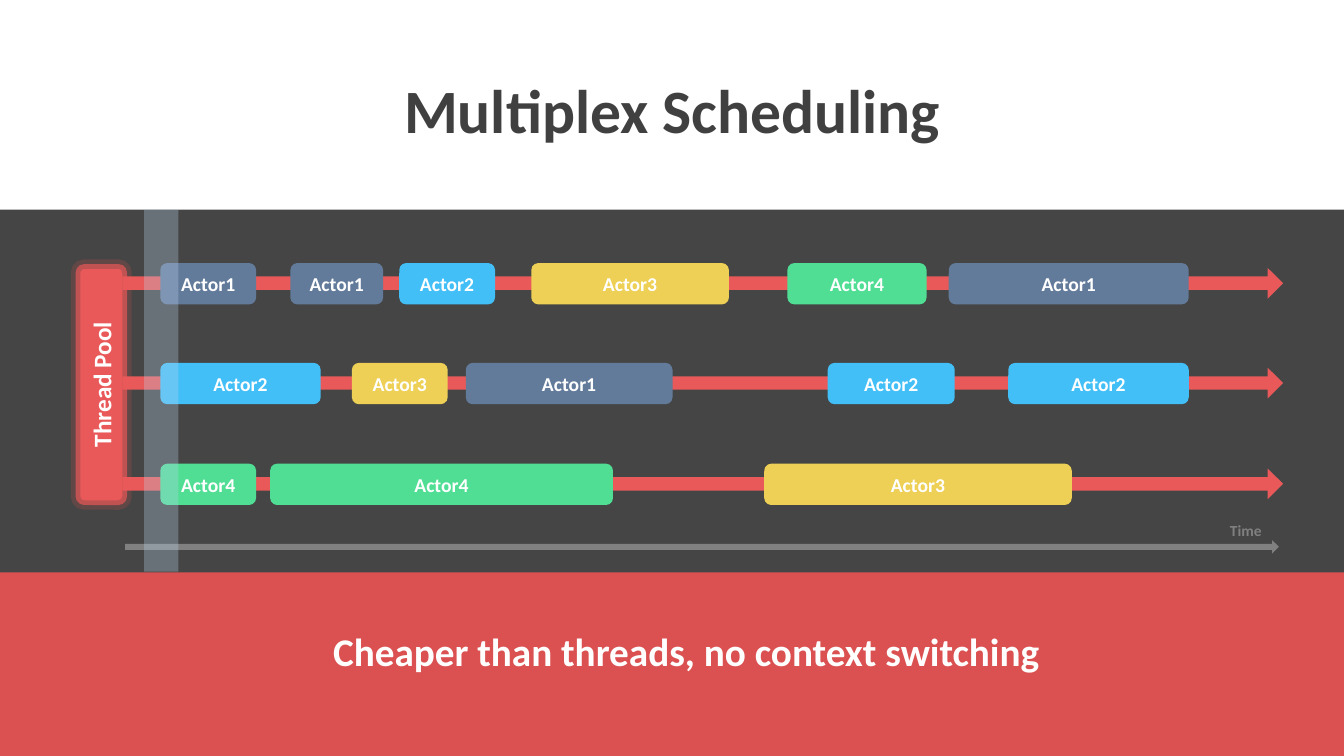
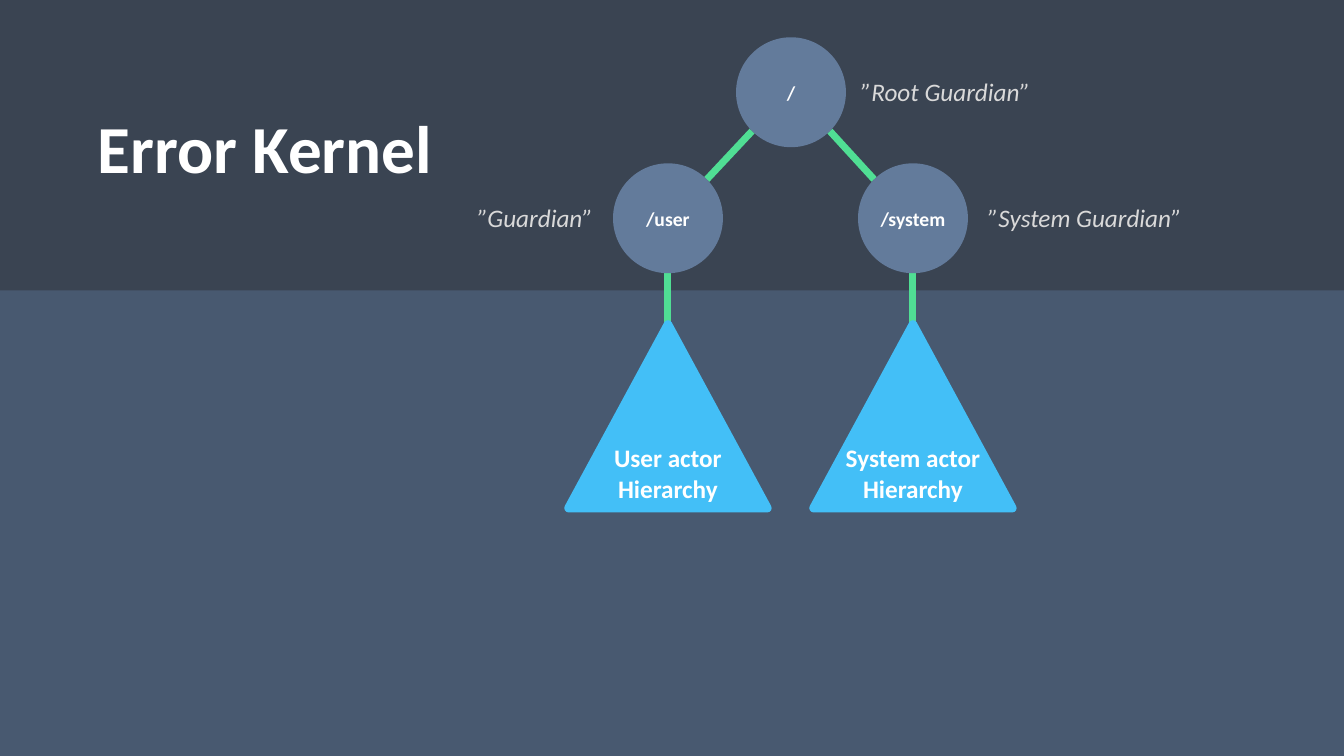
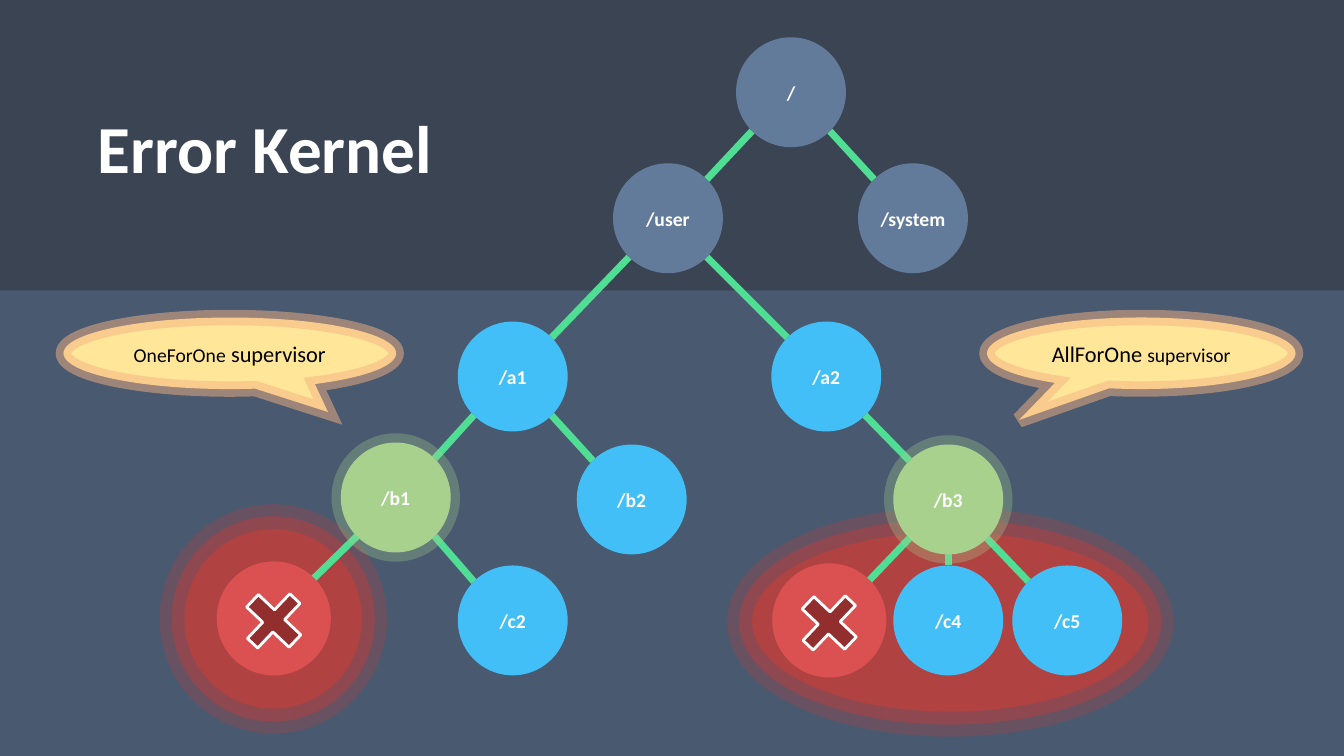
from lxml import etree
from pptx import Presentation
from pptx.dml.color import RGBColor
from pptx.enum import shapes, text
from pptx.oxml.ns import qn
from pptx.util import Inches, Pt

WHITE = RGBColor(0xFF, 0xFF, 0xFF)
BLACK = RGBColor(0x00, 0x00, 0x00)
CHARCOAL = RGBColor(0x45, 0x45, 0x45)
TITLE_GRAY = RGBColor(0x40, 0x40, 0x40)
BAND_BLACK = RGBColor(0x26, 0x26, 0x26)
GRAY = RGBColor(0x80, 0x80, 0x80)
LIGHT_GRAY = RGBColor(0xD9, 0xD9, 0xD9)
SLATE = RGBColor(0x48, 0x59, 0x70)
STEEL = RGBColor(0x63, 0x7B, 0x9B)
BLUE = RGBColor(0x43, 0xBF, 0xF7)
PALE_BLUE = RGBColor(0xBD, 0xD7, 0xEE)
GREEN = RGBColor(0x50, 0xDE, 0x94)
LEAF = RGBColor(0xA9, 0xD1, 0x8E)
YELLOW = RGBColor(0xED, 0xD0, 0x55)
CREAM = RGBColor(0xFF, 0xE6, 0x99)
ORANGE = RGBColor(0xF4, 0xB1, 0x83)
CORAL = RGBColor(0xE9, 0x59, 0x59)
POOL_EDGE = RGBColor(0x8C, 0x4A, 0x4A)
RED = RGBColor(0xDB, 0x51, 0x51)
DANGER = RGBColor(0xB0, 0x42, 0x42)
DARK_RED = RGBColor(0x92, 0x2E, 0x2E)

SHAPE = shapes.MSO_SHAPE
ALIGN = text.PP_ALIGN
ANCHOR = text.MSO_ANCHOR
FONT = "Calibri"
WIDTH, HEIGHT = 13.33, 7.5
BAND_H = 2.88
NODE = 1.09
NODE_R = NODE / 2
DIAGONAL = NODE_R * 0.5 ** 0.5

LABEL = dict(size=Pt(14), bold=True, color=WHITE)
HEADING = dict(size=Pt(18), bold=True, color=WHITE)
ROLE = dict(size=Pt(18), italic=True, color=LIGHT_GRAY)

ACTOR_COLORS = {"Actor1": STEEL, "Actor2": BLUE, "Actor3": YELLOW, "Actor4": GREEN}
# Lane top -> (actor, left, width)
LANES = {
    2.61: [("Actor1", 1.59, 0.95), ("Actor1", 2.88, 0.92), ("Actor2", 3.96, 0.95),
           ("Actor3", 5.27, 1.96), ("Actor4", 7.81, 1.38), ("Actor1", 9.41, 2.38)],
    3.6: [("Actor2", 1.59, 1.59), ("Actor3", 3.49, 0.95), ("Actor1", 4.62, 2.05),
          ("Actor2", 8.21, 1.26), ("Actor2", 10, 1.79)],
    4.6: [("Actor4", 1.59, 0.95), ("Actor4", 2.68, 3.4), ("Actor3", 7.58, 3.05)],
}

# Node -> (left, top)
GUARDIANS = {"/": (7.3, 0.37), "/user": (6.08, 1.62), "/system": (8.51, 1.62)}
GUARDIAN_LINKS = [("/", "/user"), ("/", "/system")]
ACTORS = {"/a1": (4.54, 3.19), "/a2": (7.65, 3.19), "/b2": (5.72, 4.41),
          "/c2": (4.54, 5.61), "/c4": (8.86, 5.61), "/c5": (10.04, 5.61)}
FAILED = {"/c1": (2.17, 5.59), "/c3": (7.68, 5.61)}
SUPERVISORS = {"/b1": (3.38, 4.39), "/b3": (8.86, 4.41)}
ACTOR_LINKS = [("/user", "/a1"), ("/user", "/a2"), ("/a1", "/b1"), ("/a1", "/b2"),
               ("/a2", "/b3"), ("/b1", "/c1"), ("/b1", "/c2"),
               ("/b3", "/c3"), ("/b3", "/c4"), ("/b3", "/c5")]


def set_alpha(sp, where, percent):
    for color in sp._element.spPr.xpath(where + "/a:srgbClr"):
        etree.SubElement(color, qn("a:alpha")).set("val", str(percent * 1000))


def add_shape(s, kind, box, fill=None, alpha=None, adj=()):
    sp = s.shapes.add_shape(kind, *map(Inches, box))
    sp.shadow.inherit = False
    sp.line.fill.background()
    if fill is None:
        sp.fill.background()
    else:
        sp.fill.solid()
        sp.fill.fore_color.rgb = fill
    if alpha:
        set_alpha(sp, "a:solidFill", alpha)
    for i, value in enumerate(adj):
        sp.adjustments[i] = value
    return sp


def outline(sp, color, width, alpha=None, join="miter"):
    sp.line.color.rgb = color
    sp.line.width = Pt(width)
    if alpha:
        set_alpha(sp, "a:ln/a:solidFill", alpha)
    etree.SubElement(sp.line._get_or_add_ln(), qn("a:" + join))
    return sp


def write(sp, paragraphs, align=ALIGN.CENTER, **frame):
    """Fill a shape with paragraphs, each a list of (words, font values)."""
    tf = sp.text_frame
    for name, value in frame.items():
        setattr(tf, name, value)
    for i, runs in enumerate(paragraphs):
        p = tf.paragraphs[0] if i == 0 else tf.add_paragraph()
        p.alignment = align
        for words, fmt in runs:
            r = p.add_run()
            r.text = words
            r.font.name = FONT
            for name, value in fmt.items():
                if name == "color":
                    r.font.color.rgb = value
                else:
                    setattr(r.font, name, value)
    return sp


def add_text(s, box, words, fmt, align=ALIGN.LEFT, wrap=True, anchor=ANCHOR.TOP,
             fit=text.MSO_AUTO_SIZE.SHAPE_TO_FIT_TEXT):
    tb = s.shapes.add_textbox(*map(Inches, box))
    return write(tb, [[(words, fmt)]], align, word_wrap=wrap, auto_size=fit,
                 vertical_anchor=anchor)


def add_line(s, start, end):
    line = s.shapes.add_connector(shapes.MSO_CONNECTOR.STRAIGHT,
                                  *map(Inches, (*start, *end)))
    line.line.color.rgb = GREEN
    line.line.width = Pt(5)
    etree.SubElement(line._element.spPr, qn("a:effectLst"))


def add_links(s, links, places):
    """Join circles on their diagonals, or vertically when one is right below."""
    for parent, child in links:
        (x1, y1), (x2, y2) = [(x + NODE_R, y + NODE_R)
                              for x, y in (places[parent], places[child])]
        side = (x2 > x1) - (x2 < x1)
        dx, dy = side * DIAGONAL, DIAGONAL if side else NODE_R
        add_line(s, (x1 + dx, y1 + dy), (x2 - dx, y2 - dy))


def add_nodes(s, places, fill, halo=False):
    for name, place in places.items():
        sp = add_shape(s, SHAPE.OVAL, (*place, NODE, NODE), fill)
        if halo:
            outline(sp, fill, 13.25, 30)
        write(sp, [[(name, LABEL)]], word_wrap=False, vertical_anchor=ANCHOR.MIDDLE)


def add_failed_node(s, left, top):
    circle = add_shape(s, SHAPE.OVAL, (left, top, NODE, NODE), RED)
    outline(circle, RED, 3)
    cross = add_shape(s, SHAPE.CROSS, (left + 0.24, top + 0.28, 0.61, 0.58),
                      DARK_RED, adj=[0.38])
    cross.rotation = 313.5
    outline(cross, WHITE, 2, join="round")


def add_danger_zone(s, box):
    for fill, width, alpha in ((DANGER, 18.5, 54), (None, 35.75, 31)):
        outline(add_shape(s, SHAPE.OVAL, box, fill), DANGER, width, alpha)


def add_callout(s, box, adj, runs):
    sp = add_shape(s, SHAPE.OVAL_CALLOUT, box, CREAM, adj=adj)
    outline(sp, ORANGE, 11, 50)
    write(sp, [[(words, dict(size=Pt(size), color=BLACK)) for words, size in runs]],
          vertical_anchor=ANCHOR.MIDDLE)


def add_time_arrow(s, top, height, color, width):
    outline(add_shape(s, SHAPE.RIGHT_ARROW, (1.26, top, 11.4, height)), color, width)


def add_slide(prs, background):
    s = prs.slides.add_slide(prs.slide_layouts[6])
    s.background.fill.solid()
    s.background.fill.fore_color.rgb = background
    return s


def add_kernel_band(s):
    add_shape(s, SHAPE.RECTANGLE, (0, 0, WIDTH, BAND_H), BAND_BLACK, 40)


def add_kernel_head(s):
    add_nodes(s, GUARDIANS, STEEL)
    add_text(s, (0.87, 1.01, 4.36, 0.91), "Error Kernel", HEADING | {"size": Pt(48)})


def scheduling_slide(prs):
    s = add_slide(prs, CHARCOAL)
    pool = add_shape(s, SHAPE.ROUNDED_RECTANGLE, (-0.19, 3.56, 2.39, 0.51), CORAL)
    pool.rotation = 270
    outline(pool, POOL_EDGE, 6.75, 41)
    write(pool, [[("Thread Pool", HEADING)]], vertical_anchor=ANCHOR.MIDDLE)

    add_shape(s, SHAPE.RECTANGLE, (0, 0, WIDTH, 2.08), WHITE)
    title = add_text(s, (0.92, 0.4, 11.5, 1.45), "Multiplex Scheduling",
                     dict(size=Pt(44), bold=True, color=TITLE_GRAY), ALIGN.CENTER,
                     anchor=ANCHOR.MIDDLE, fit=text.MSO_AUTO_SIZE.NONE)
    title.text_frame.paragraphs[0].line_spacing = 0.9

    for top, tasks in LANES.items():
        add_time_arrow(s, top + 0.16, 0.08, CORAL, 6.75)
        for actor, left, width in tasks:
            task = add_shape(s, SHAPE.ROUNDED_RECTANGLE, (left, top, width, 0.41),
                             ACTOR_COLORS[actor])
            write(task, [[(actor, LABEL)]], vertical_anchor=ANCHOR.MIDDLE)

    add_shape(s, SHAPE.RECTANGLE, (0, 5.68, WIDTH, 1.83), RED)
    add_text(s, (0.14, 6.17, WIDTH, 0.57), "Cheaper than threads, no context switching",
             HEADING | {"size": Pt(28)}, ALIGN.CENTER)
    add_time_arrow(s, 5.4, 0.05, GRAY, 2.5)
    add_shape(s, SHAPE.RECTANGLE, (1.43, 2.08, 0.34, 3.59), PALE_BLUE, 30)
    add_text(s, (12.1, 5.12, 0.55, 0.29), "Time",
             dict(size=Pt(11), bold=True, color=GRAY), wrap=False)


def guardians_slide(prs):
    s = add_slide(prs, SLATE)
    add_kernel_band(s)
    add_links(s, GUARDIAN_LINKS, GUARDIANS)
    width, top = 1.97, 3.22
    for guardian, owner in (("/user", "User"), ("/system", "System")):
        left, y = GUARDIANS[guardian]
        center = left + NODE_R
        add_line(s, (center, y + NODE), (center, top))
        triangle = add_shape(s, SHAPE.ISOSCELES_TRIANGLE,
                             (center - width / 2, top, width, 1.82), BLUE)
        outline(triangle, BLUE, 6.25, join="round")
        write(triangle, [[(owner + " actor", HEADING)], [("Hierarchy", HEADING)]],
              word_wrap=False, vertical_anchor=ANCHOR.BOTTOM)
    add_kernel_head(s)
    for left, top, width, role in ((9.7, 1.96, 2.14, "”System Guardian”"),
                                   (4.64, 1.96, 1.36, "”Guardian”"),
                                   (8.44, 0.71, 1.9, "”Root Guardian”")):
        add_text(s, (left, top, width, 0.4), role, ROLE, wrap=False)


def supervisors_slide(prs):
    s = add_slide(prs, SLATE)
    add_danger_zone(s, (7.46, 5.28, 3.93, 1.78))
    add_danger_zone(s, (1.83, 5.25, 1.76, 1.78))
    add_kernel_band(s)
    add_links(s, GUARDIAN_LINKS + ACTOR_LINKS,
              GUARDIANS | ACTORS | FAILED | SUPERVISORS)
    add_nodes(s, ACTORS, BLUE)
    add_kernel_head(s)
    for place in FAILED.values():
        add_failed_node(s, *place)
    add_callout(s, (0.63, 3.15, 3.3, 0.71), (0.295, 0.821),
                [("OneForOne", 14), (" supervisor", 16)])
    add_callout(s, (9.79, 3.15, 3.06, 0.71), (-0.396, 0.931),
                [("AllForOne ", 16), ("supervisor", 14)])
    add_nodes(s, SUPERVISORS, LEAF, halo=True)


def main():
    prs = Presentation()
    prs.slide_width, prs.slide_height = Inches(WIDTH), Inches(HEIGHT)
    scheduling_slide(prs)
    guardians_slide(prs)
    supervisors_slide(prs)
    prs.save("out.pptx")


if __name__ == "__main__":
    main()
